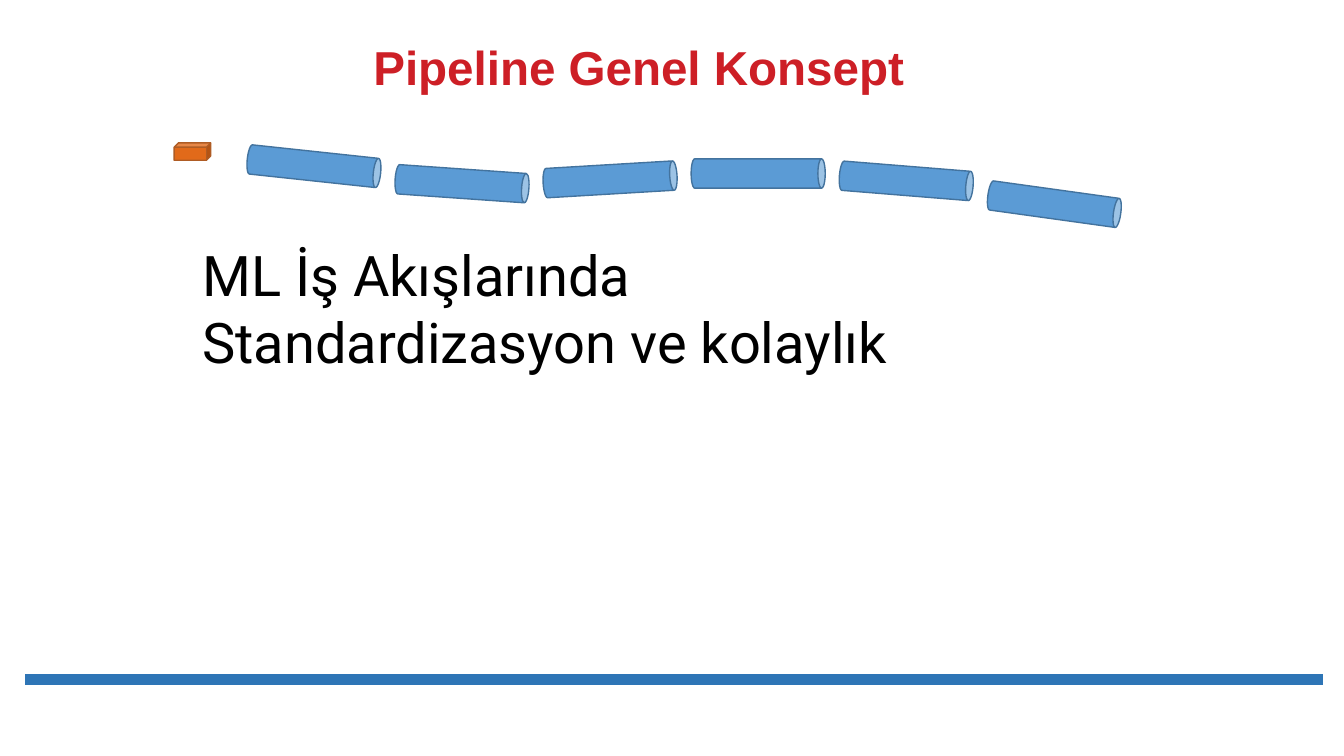
from dataclasses import dataclass
from lxml import etree
from pptx import Presentation
from pptx.dml.color import RGBColor
from pptx.enum import shapes, text
from pptx.oxml import ns
from pptx.util import Cm, Pt


@dataclass
class Theme:
    red: str = "CD1F26"
    ink: str = "000000"
    pipe: str = "5B9BD5"
    rim: str = "43739E"
    cube: str = "E16A1A"
    edge: str = "AF5C24"
    rule: str = "2E75B6"
    head: int = 34
    body: int = 40


theme = Theme()


def color(code):
    return RGBColor.from_string(code)


def write(slide, box, words, font, size, code, bold=False):
    frame = slide.shapes.add_textbox(*map(Cm, box)).text_frame
    frame.word_wrap = True
    frame.text = words
    face = frame.paragraphs[0].runs[0].font
    face.name, face.size, face.bold = font, Pt(size), bold
    face.color.rgb = color(code)
    return frame


def title(slide, box):
    frame = write(slide, box, "Pipeline Genel Konsept", "Arial",
                  theme.head, theme.red, True)
    frame.vertical_anchor = text.MSO_ANCHOR.BOTTOM
    frame.paragraphs[0].alignment = text.PP_ALIGN.CENTER
    frame.paragraphs[0].line_spacing = 0.9


def body(slide, box):
    write(slide, box, "ML İş Akışlarında Standardizasyon ve kolaylık",
          "Roboto", theme.body, theme.ink)


def solid(slide, kind, box, fill, line, turn=0):
    shape = slide.shapes.add_shape(kind, *map(Cm, box))
    shape.shadow.inherit = False
    shape.fill.solid()
    shape.fill.fore_color.rgb = color(fill)
    shape.line.color.rgb = color(line)
    shape.line.width = Pt(1)
    shape.rotation = turn


def pipeline(slide, box):
    left, top, width, height = box
    solid(slide, shapes.MSO_SHAPE.CUBE, (left, top, 0.92, 0.44),
          theme.cube, theme.edge)
    thick, length = 0.74, 3.38
    first = left + 3.52
    pitch = (left + width - length / 2 - first) / 5
    drops = (0.16, 0.28, 0.25, 0.21, 0.26, 0.42)
    turns = (96.1, 94, 86.6, 90, 94.6, 97.9)
    for index, (drop, turn) in enumerate(zip(drops, turns)):
        across = first + index * pitch - thick / 2
        down = top + drop * height - length / 2
        solid(slide, shapes.MSO_SHAPE.CAN, (across, down, thick, length),
              theme.pipe, theme.rim, turn)


def footer(slide, box):
    left, top, width = box
    line = slide.shapes.add_connector(
        shapes.MSO_CONNECTOR.STRAIGHT,
        Cm(left), Cm(top), Cm(left + width), Cm(top))
    line.line.color.rgb = color(theme.rule)
    line.line.width = Pt(8)
    etree.SubElement(line._element.spPr, ns.qn("a:effectLst"))


deck = Presentation()
deck.slide_width, deck.slide_height = Cm(33.87), Cm(19.05)
page = deck.slides.add_slide(deck.slide_layouts[6])
title(page, (3.4, 0.66, 25.4, 1.88))
body(page, (4.85, 5.94, 19.96, 3.68))
pipeline(page, (4.39, 3.6, 23.87, 3.68))
footer(page, (0.64, 17.12, 32.69))
deck.save("out.pptx")
